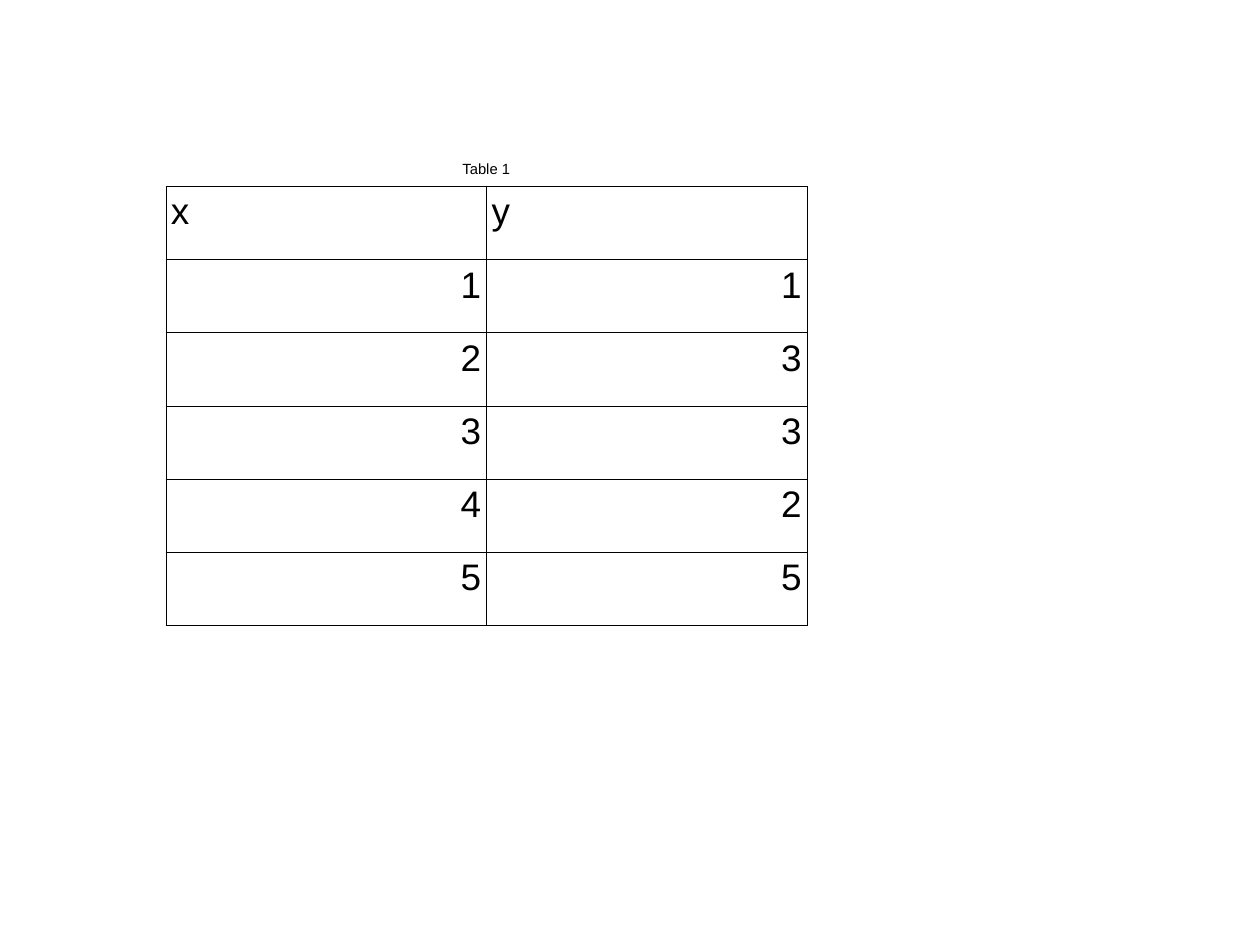
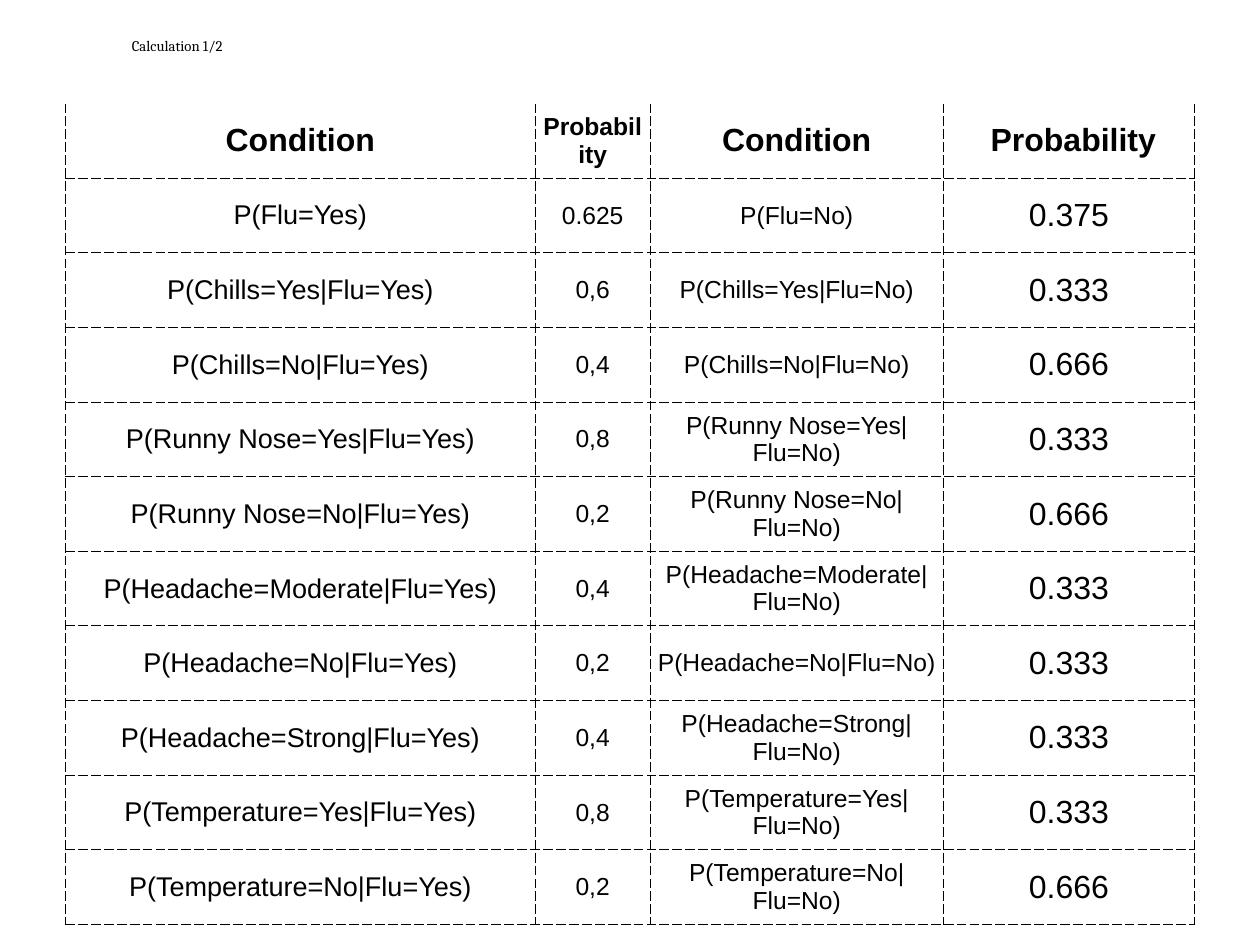
from dataclasses import dataclass
from typing import Optional

import lxml.etree
import pptx
import pptx.dml.color
import pptx.enum.text
import pptx.oxml.ns
import pptx.util

Cm = pptx.util.Cm
Pt = pptx.util.Pt
Align = pptx.enum.text.PP_ALIGN
Anchor = pptx.enum.text.MSO_ANCHOR


@dataclass(frozen=True)
class Theme:
    ink: str = "000000"
    sans: str = "Arial"
    serif: str = "Cambria"
    caption: float = 12
    small: float = 20
    medium: float = 22
    large: float = 26
    number: float = 30
    inset: float = 0.15


THEME = Theme()


@dataclass(frozen=True)
class TextStyle:
    size: float
    align: Align = Align.CENTER
    anchor: Anchor = Anchor.MIDDLE
    bold: bool = False
    font: str = THEME.sans
    space_before: float = 0


@dataclass(frozen=True)
class Border:
    width: float
    dash: str = "solid"


@dataclass(frozen=True)
class Entry:
    text: str
    style: TextStyle


@dataclass(frozen=True)
class Grid:
    left: float
    top: float
    columns: list[float]
    heights: list[float]
    rows: list[list[Entry]]
    border: Border
    first_ruled_row: int = 0
    top_edge: bool = True


def add_text(paragraph, text: str, style: TextStyle) -> None:
    paragraph.alignment = style.align
    if style.space_before:
        paragraph.space_before = Pt(style.space_before)
    run = paragraph.add_run()
    run.text = text
    run.font.size = Pt(style.size)
    run.font.name = style.font
    run.font.bold = style.bold
    run.font.color.rgb = pptx.dml.color.RGBColor.from_string(THEME.ink)


def set_margins(target) -> None:
    target.margin_left = target.margin_right = Cm(THEME.inset)
    target.margin_top = target.margin_bottom = Cm(THEME.inset)


def draw_border(cell, side: str, border: Optional[Border]) -> None:
    qn = pptx.oxml.ns.qn
    properties = cell._tc.get_or_add_tcPr()
    line = lxml.etree.SubElement(properties, qn(f"a:ln{side}"))
    if border is None:
        line.set("w", "0")
        lxml.etree.SubElement(line, qn("a:noFill"))
        return
    line.set("w", str(int(Pt(border.width))))
    fill = lxml.etree.SubElement(line, qn("a:solidFill"))
    lxml.etree.SubElement(fill, qn("a:srgbClr")).set("val", THEME.ink)
    lxml.etree.SubElement(line, qn("a:prstDash")).set("val", border.dash)


def row_borders(grid: Grid, row: int) -> dict[str, Optional[Border]]:
    ruled = row >= grid.first_ruled_row
    side = grid.border if ruled else None
    above = grid.border if ruled and (row > 0 or grid.top_edge) else None
    return {"L": side, "R": side, "T": above, "B": grid.border}


def draw_grid(slide, grid: Grid) -> None:
    frame = slide.shapes.add_table(
        len(grid.heights), len(grid.columns), Cm(grid.left), Cm(grid.top),
        Cm(sum(grid.columns)), Cm(sum(grid.heights)))
    table = frame.table
    table.first_row = False
    table.horz_banding = False
    for column, width in zip(table.columns, grid.columns):
        column.width = Cm(width)
    for row, (height, entries) in enumerate(zip(grid.heights, grid.rows)):
        table.rows[row].height = Cm(height)
        if len(entries) < len(grid.columns):
            table.cell(row, 0).merge(table.cell(row, len(grid.columns) - 1))
        for column in range(len(grid.columns)):
            cell = table.cell(row, column)
            set_margins(cell)
            for side, border in row_borders(grid, row).items():
                draw_border(cell, side, border)
            cell.fill.background()
            if column < len(entries):
                entry = entries[column]
                cell.vertical_anchor = entry.style.anchor
                add_text(cell.text_frame.paragraphs[0], entry.text, entry.style)


def draw_points(slide) -> None:
    caption = TextStyle(THEME.caption, space_before=6)
    heading = TextStyle(THEME.number, Align.LEFT, Anchor.TOP)
    value = TextStyle(THEME.number, Align.RIGHT, Anchor.TOP)
    points = [(1, 1), (2, 3), (3, 3), (4, 2), (5, 5)]
    rows = [[Entry("Table 1", caption)], [Entry(name, heading) for name in "xy"]]
    rows += [[Entry(str(number), value) for number in point] for point in points]
    draw_grid(slide, Grid(
        4.75, 4.37, [9.19] * 2, [0.97] + [2.1] * 6, rows,
        Border(0.35), first_ruled_row=1))


def draw_calculation_title(slide) -> None:
    box = slide.shapes.add_textbox(Cm(3.63), Cm(0.66), Cm(2.92), Cm(0.79))
    frame = box.text_frame
    frame.word_wrap = False
    frame.auto_size = pptx.enum.text.MSO_AUTO_SIZE.SHAPE_TO_FIT_TEXT
    frame.vertical_anchor = Anchor.MIDDLE
    set_margins(frame)
    paragraph = frame.paragraphs[0]
    paragraph.line_spacing = Pt(28)
    add_text(paragraph, "Calculation 1/2",
             TextStyle(THEME.caption, Align.LEFT, font=THEME.serif))


def draw_probabilities(slide) -> None:
    symptoms = [
        ("Chills=Yes", "0,6", "0.333"),
        ("Chills=No", "0,4", "0.666"),
        ("Runny Nose=Yes", "0,8", "0.333"),
        ("Runny Nose=No", "0,2", "0.666"),
        ("Headache=Moderate", "0,4", "0.333"),
        ("Headache=No", "0,2", "0.333"),
        ("Headache=Strong", "0,4", "0.333"),
        ("Temperature=Yes", "0,8", "0.333"),
        ("Temperature=No", "0,2", "0.666"),
    ]
    records = [("P(Flu=Yes)", "0.625", "P(Flu=No)", "0.375")]
    records += [(f"P({symptom}|Flu=Yes)", with_flu, f"P({symptom}|Flu=No)", without_flu)
                for symptom, with_flu, without_flu in symptoms]
    headings = ("Condition", "Probability", "Condition", " Probability")
    heading_sizes = (THEME.large, THEME.small, THEME.large, THEME.large)
    body_sizes = (THEME.medium, THEME.small, THEME.small, THEME.large)
    rows = [[Entry(text, TextStyle(size, bold=True))
             for text, size in zip(headings, heading_sizes)]]
    rows += [[Entry(text, TextStyle(size)) for text, size in zip(record, body_sizes)]
             for record in records]
    draw_grid(slide, Grid(
        1.88, 2.97, [13.46, 3.3, 8.4, 7.21], [2.14] * len(rows), rows,
        Border(1, "lgDash"), top_edge=False))


def main() -> None:
    presentation = pptx.Presentation()
    presentation.slide_width = Cm(36.12)
    presentation.slide_height = Cm(27.1)
    blank = presentation.slide_layouts[6]
    draw_points(presentation.slides.add_slide(blank))
    calculation = presentation.slides.add_slide(blank)
    draw_calculation_title(calculation)
    draw_probabilities(calculation)
    presentation.save("out.pptx")


if __name__ == "__main__":
    main()
